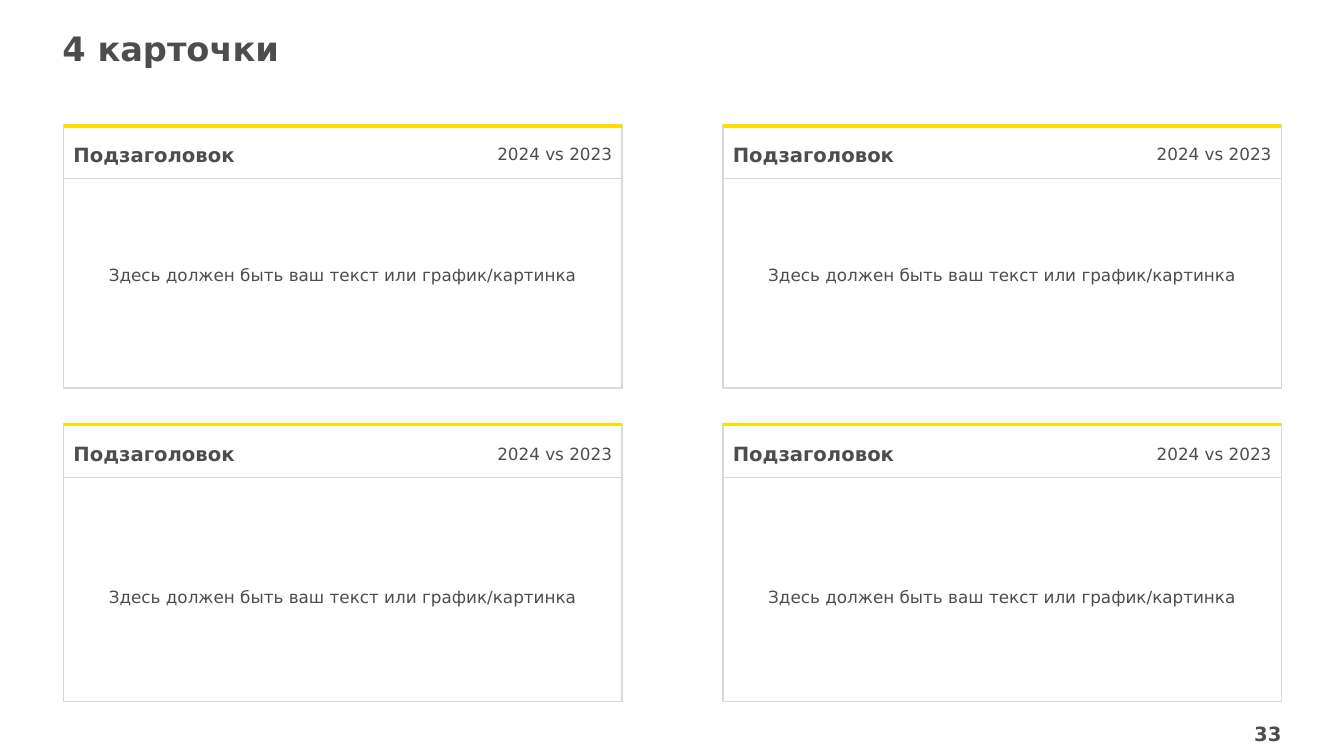
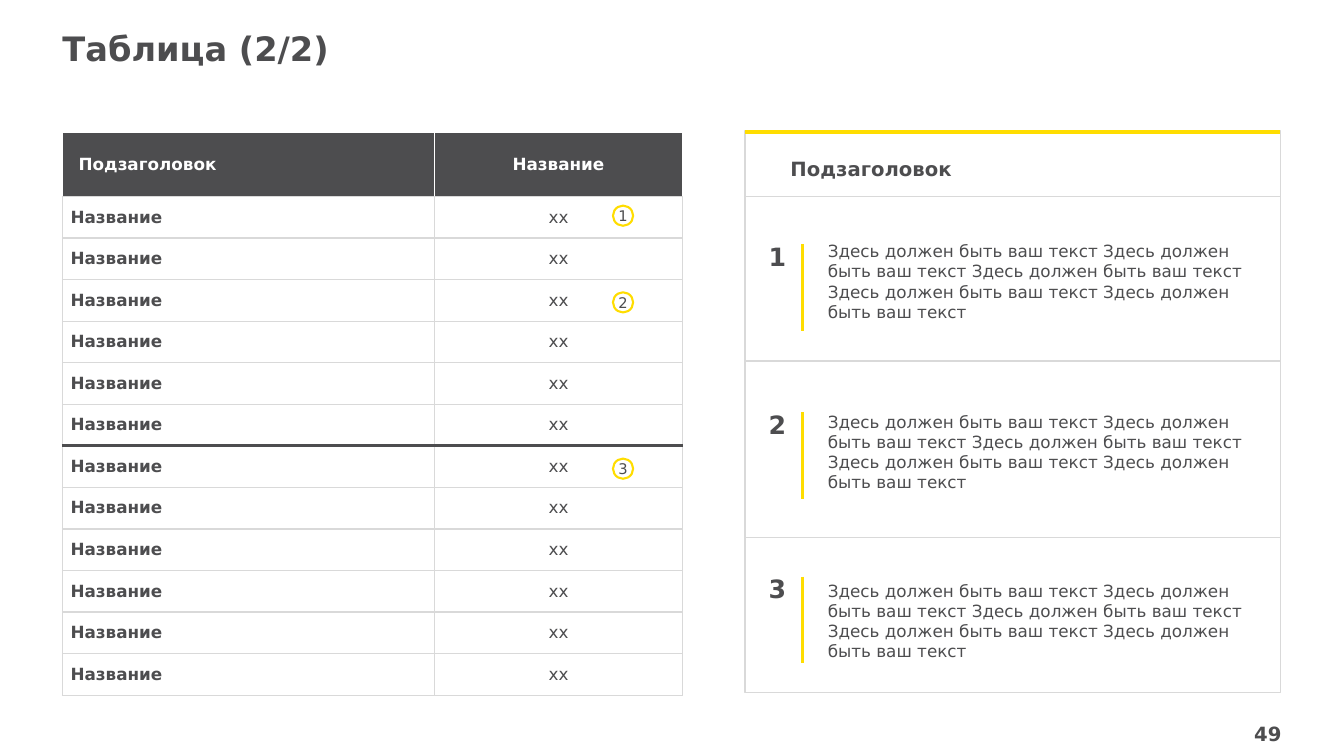
from lxml import etree
from pptx import Presentation
from pptx.dml.color import RGBColor
from pptx.enum import shapes, text
from pptx.oxml.ns import qn
from pptx.util import Inches, Pt

DARK = RGBColor(0x4D, 0x4D, 0x4F)
GREY = RGBColor(0xD9, 0xD9, 0xD9)
YELLOW = RGBColor(0xFF, 0xDD, 0x00)
WHITE = RGBColor(0xFF, 0xFF, 0xFF)
FONT = "DejaVu Sans"
LEFT, CENTER, RIGHT = text.PP_ALIGN.LEFT, text.PP_ALIGN.CENTER, text.PP_ALIGN.RIGHT
TOP, MIDDLE = text.MSO_ANCHOR.TOP, text.MSO_ANCHOR.MIDDLE
BOTTOM = text.MSO_ANCHOR.BOTTOM
MARGIN_X = 0.62
SUBTITLE = "Подзаголовок"
NAME = "Название"
BODY = "Здесь должен быть ваш текст"


def style_text(tf, content, size, bold=False, color=DARK, align=LEFT):
    tf.text = content
    p = tf.paragraphs[0]
    p.alignment = align
    font = p.runs[0].font
    font.name, font.size, font.bold = FONT, Pt(size), bold
    font.color.rgb = color


def set_margins(target, left, top, right, bottom):
    target.margin_left, target.margin_top = Inches(left), Inches(top)
    target.margin_right, target.margin_bottom = Inches(right), Inches(bottom)


def add_text(s, x, y, w, h, content, size, bold=False, align=LEFT,
             anchor=TOP, pad=(0, 0)):
    """Add a text box; pad is the horizontal and vertical inset."""
    tf = s.shapes.add_textbox(Inches(x), Inches(y), Inches(w), Inches(h)).text_frame
    tf.word_wrap = True
    tf.vertical_anchor = anchor
    set_margins(tf, *pad, *pad)
    style_text(tf, content, size, bold, align=align)


def add_line(s, x1, y1, x2, y2, color=GREY, width=1):
    line = s.shapes.add_connector(shapes.MSO_CONNECTOR.STRAIGHT, Inches(x1),
                                  Inches(y1), Inches(x2), Inches(y2))
    line.line.color.rgb = color
    line.line.width = Pt(width)
    etree.SubElement(line._element.spPr, qn("a:effectLst"))


def add_outlined(s, kind, x, y, w, h, color, width, fill=None):
    sp = s.shapes.add_shape(kind, Inches(x), Inches(y), Inches(w), Inches(h))
    sp.shadow.inherit = False
    if fill is None:
        sp.fill.background()
    else:
        sp.fill.solid()
        sp.fill.fore_color.rgb = fill
    sp.line.color.rgb = color
    sp.line.width = Pt(width)
    return sp


def add_panel(s, x, y, w, h, header_y):
    """Frame with a yellow top edge and a rule under its header."""
    add_outlined(s, shapes.MSO_SHAPE.RECTANGLE, x, y, w, h, GREY, 1)
    add_line(s, x, y + 0.01, x + w, y + 0.01, YELLOW, 2.25)
    add_line(s, x, header_y, x + w, header_y, width=0.75)


def add_slide(prs, title, number):
    s = prs.slides.add_slide(prs.slide_layouts[6])
    add_text(s, MARGIN_X, 0.28, 10.94, 0.4, title, 24, bold=True)
    add_text(s, 12.14, 7.16, 0.57, 0.24, number, 14, True, RIGHT, MIDDLE)
    return s


def add_card(s, x, y, h, header_y, body_y):
    w, label_y = 5.54, header_y - 0.435
    pad = (0.1, 0.05)
    add_panel(s, x, y, w, h, header_y)
    add_text(s, x, label_y, 3.94, 0.39, SUBTITLE, 14, True, LEFT, MIDDLE, pad)
    add_text(s, x + w - 3.31, label_y, 3.31, 0.39, "2024 vs 2023", 12, False,
             RIGHT, MIDDLE, pad)
    add_text(s, x, body_y, w, 0.2, BODY + " или график/картинка", 12, align=CENTER)


def set_borders(cell, **edges):
    """Each edge (L, R, T, B) is a pair of colour and width in points."""
    tc_pr = cell._tc.get_or_add_tcPr()
    for i, side in enumerate("LRTB"):
        color, width = edges.get(side, (GREY, 1))
        ln = etree.Element(qn("a:ln" + side), w=str(Pt(width)))
        fill = etree.SubElement(ln, qn("a:solidFill"))
        etree.SubElement(fill, qn("a:srgbClr"), val=str(color))
        tc_pr.insert(i, ln)


def fill_cell(cell, content, bold, color, fill, align, left=0.08, right=0.08):
    cell.fill.solid()
    cell.fill.fore_color.rgb = fill
    cell.vertical_anchor = MIDDLE
    set_margins(cell, left, 0.08, right, 0.08)
    style_text(cell.text_frame, content, 12, bold, color, align)


def add_names_table(s, x, y, widths, header_h, height, count, rule_after):
    """Table with a dark rule under body row number rule_after."""
    table = s.shapes.add_table(count + 1, 2, Inches(x), Inches(y),
                               Inches(sum(widths)), Inches(height)).table
    for column, width in zip(table.columns, widths):
        column.width = Inches(width)
    for row in table.rows:
        row.height = Inches((height - header_h) / count)
    table.rows[0].height = Inches(header_h)

    head, value_head = table.rows[0].cells
    fill_cell(head, SUBTITLE, True, WHITE, DARK, LEFT, 0.16, 0.12)
    fill_cell(value_head, NAME, True, WHITE, DARK, CENTER)
    for cell in (head, value_head):
        set_borders(cell, L=(WHITE, 1), R=(WHITE, 1), T=(WHITE, 1))

    rule = (DARK, 2.25)
    edges = {rule_after: {"B": rule}, rule_after + 1: {"T": rule}}
    for i in range(1, count + 1):
        name, value = table.cell(i, 0), table.cell(i, 1)
        fill_cell(name, NAME, True, DARK, WHITE, LEFT, right=0.12)
        fill_cell(value, "хх", False, DARK, WHITE, CENTER)
        for cell in (name, value):
            set_borders(cell, **edges.get(i, {}))


def add_marker(s, x, y, label):
    sp = add_outlined(s, shapes.MSO_SHAPE.OVAL, x, y, 0.2, 0.2, YELLOW, 1.5, WHITE)
    tf = sp.text_frame
    tf.word_wrap = False
    tf.vertical_anchor = MIDDLE
    set_margins(tf, 0, 0, 0, 0)
    style_text(tf, label, 10.5, align=CENTER)


def add_note(s, label, number_y, body_y):
    add_text(s, 7.49, number_y, 0.44, 0.3, label, 18, True, CENTER)
    add_line(s, 7.96, number_y + 0.03, 7.96, number_y + 0.89, YELLOW, 2.25)
    add_text(s, 8.21, body_y, 4.19, 0.81, " ".join([BODY] * 5), 12)


def build_cards(prs):
    s = add_slide(prs, "4 карточки", "33")
    for y, h, header_y, body_y in ((1.24, 2.61, 1.77, 2.63), (4.2, 2.76, 4.74, 5.82)):
        for x in (0.63, 7.17):
            add_card(s, x, y, h, header_y, body_y)


def build_table(prs):
    s = add_slide(prs, "Таблица (2/2)", "49")
    add_names_table(s, MARGIN_X, 1.31, (3.69, 2.46), 0.64, 5.59, 12, rule_after=6)
    x, right = 7.39, 12.7
    add_panel(s, x, 1.3, right - x, 5.57, 1.95)
    add_text(s, 7.84, 1.55, 4.57, 0.24, SUBTITLE, 14, True, LEFT, BOTTOM)
    for y in (3.58, 5.33):
        add_line(s, x, y, right, y)
    notes = ((2.04, 2.39, 2.39), (2.9, 4.06, 4.08), (4.55, 5.69, 5.76))
    for i, (marker_y, number_y, body_y) in enumerate(notes, 1):
        add_marker(s, 6.08, marker_y, str(i))
        add_note(s, str(i), number_y, body_y)


def main():
    prs = Presentation()
    prs.slide_width, prs.slide_height = Inches(13.33), Inches(7.5)
    build_cards(prs)
    build_table(prs)
    prs.save("out.pptx")


if __name__ == "__main__":
    main()
